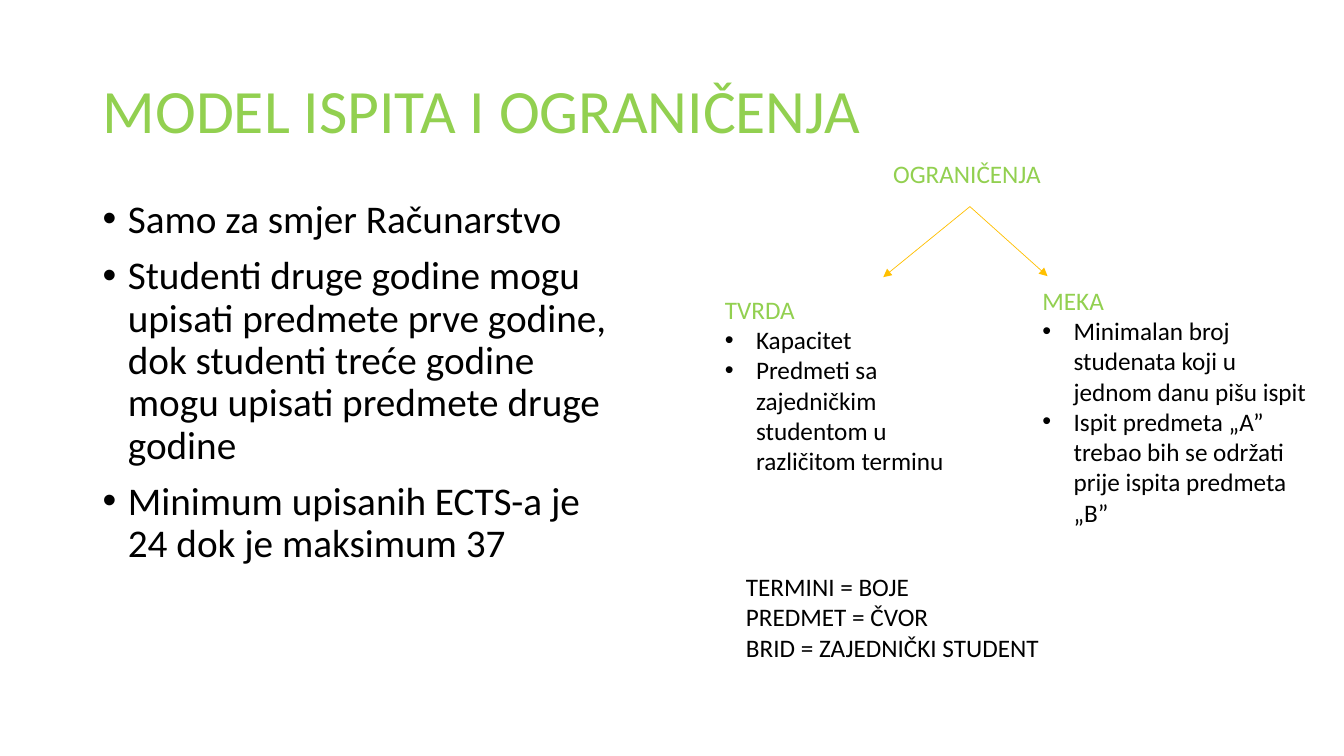
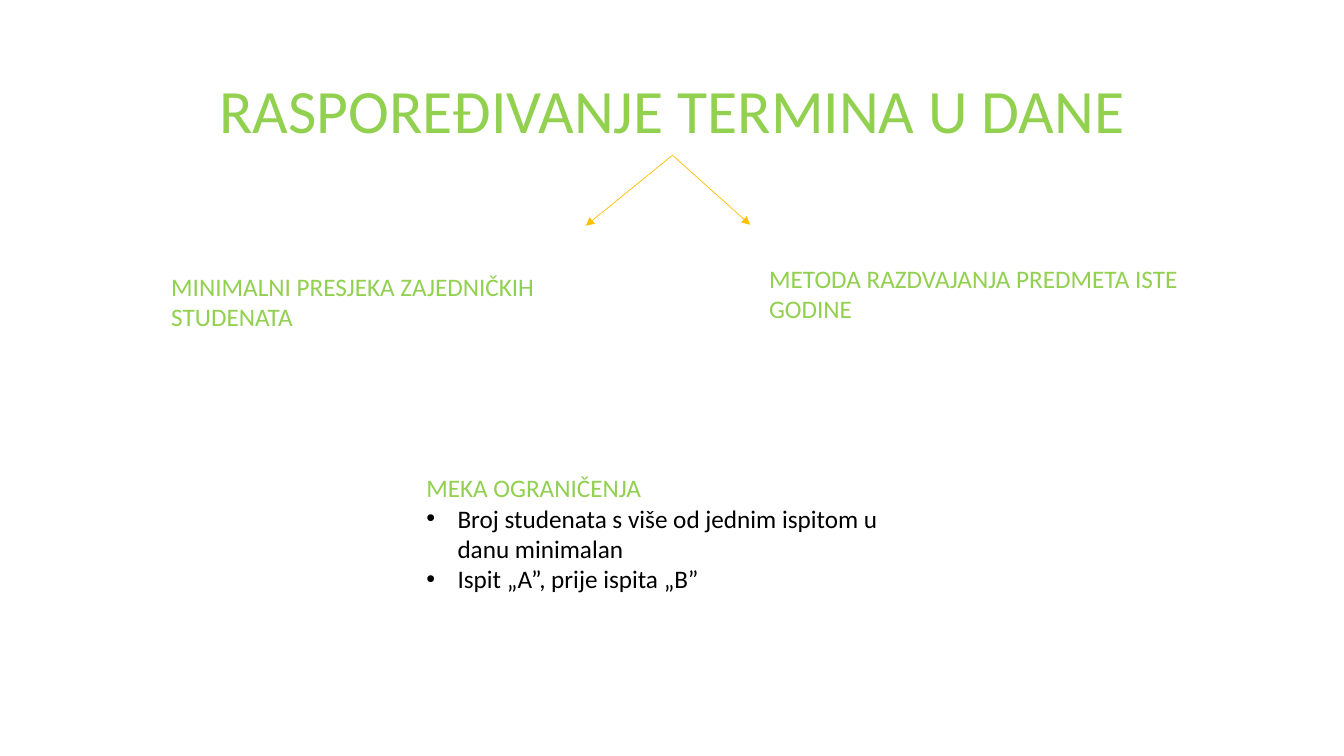
from lxml.etree import SubElement
from pptx import Presentation
from pptx.dml.color import RGBColor
from pptx.enum.shapes import MSO_CONNECTOR as CONN
from pptx.enum.text import MSO_ANCHOR as ANCHOR, PP_ALIGN as ALIGN
from pptx.oxml.ns import qn
from pptx.util import Inches, Pt

FONT = "Calibri"
GREEN, BLACK, AMBER = "92D050", "000000", "FFC000"
TITLE_BOX = (0.92, 0.4, 11.5, 1.45)
BODY_BOX = (0.92, 1.93, 5.32, 4.76)
BRANCHES = ((-0.86, 0.7), (0.77, 0.69))

SLIDES = [
    {
        "title": "MODEL ISPITA I OGRANIČENJA",
        "align": ALIGN.LEFT,
        "body": [
            "Samo za smjer Računarstvo",
            "Studenti druge godine mogu upisati predmete prve godine, "
            "dok studenti treće godine mogu upisati predmete druge godine",
            "Minimum upisanih ECTS-a je 24 dok je maksimum 37",
        ],
        "fork": (9.62, 2.05),
        "groups": [
            ((8.76, 1.52, 2.59, 0.4), "OGRANIČENJA", []),
            ((7.09, 2.87, 2.59, 2.22), "TVRDA", [
                "Kapacitet",
                "Predmeti sa zajedničkim studentom u različitom terminu",
            ]),
            ((10.24, 2.78, 2.87, 2.52), "MEKA", [
                "Minimalan broj studenata koji u jednom danu pišu ispit",
                "Ispit predmeta „A” trebao bih se održati prije ispita predmeta „B”",
            ]),
        ],
        "legend": ((7.3, 5.62, 4.76, 1.01), [
            "TERMINI = BOJE",
            "PREDMET = ČVOR",
            "BRID = ZAJEDNIČKI STUDENT",
        ]),
    },
    {
        "title": "RASPOREĐIVANJE TERMINA U DANE",
        "align": ALIGN.CENTER,
        "fork": (6.67, 1.54),
        "groups": [
            ((1.6, 2.64, 4.2, 0.71), "MINIMALNI PRESJEKA ZAJEDNIČKIH STUDENATA", []),
            ((7.53, 2.56, 4.7, 0.71), "METODA RAZDVAJANJA PREDMETA ISTE GODINE", []),
            ((4.13, 4.64, 5.06, 1.31), "MEKA OGRANIČENJA", [
                "Broj studenata s više od jednim ispitom u danu minimalan",
                "Ispit „A”, prije ispita „B”",
            ]),
        ],
    },
]


def rgb(color):
    return RGBColor.from_string(color)


def add_box(s, box, anchor=ANCHOR.TOP):
    tf = s.shapes.add_textbox(*map(Inches, box)).text_frame
    tf.word_wrap = True
    tf.vertical_anchor = anchor
    return tf


def write(tf, text, size=18, color=BLACK, align=ALIGN.LEFT, indent=0,
          spacing=1.0, before=0):
    p = tf.add_paragraph() if tf.text else tf.paragraphs[0]
    p.alignment = align
    p.line_spacing = spacing
    p.space_before = Pt(before)
    r = p.add_run()
    r.text = text
    r.font.name = FONT
    r.font.size = Pt(size)
    r.font.color.rgb = rgb(color)
    if indent:
        pPr = p._p.get_or_add_pPr()
        pPr.set("marL", str(Inches(indent)))
        pPr.set("indent", str(-Inches(indent)))
        SubElement(pPr, qn("a:buFont"), typeface="Arial")
        SubElement(pPr, qn("a:buChar"), char="•")


def add_arrow(s, start, end):
    c = s.shapes.add_connector(CONN.STRAIGHT, *map(Inches, start + end))
    c.line.color.rgb = rgb(AMBER)
    c.line.width = Pt(0.5)
    SubElement(c.line._get_or_add_ln(), qn("a:tailEnd"), type="triangle")
    SubElement(c._element.spPr, qn("a:effectLst"))


def add_fork(s, start):
    x, y = start
    for dx, dy in BRANCHES:
        add_arrow(s, start, (x + dx, y + dy))


def add_group(s, box, heading, items):
    tf = add_box(s, box)
    write(tf, heading, color=GREEN)
    for item in items:
        write(tf, item, indent=0.31)


def build_slide(prs, content):
    s = prs.slides.add_slide(prs.slide_layouts[6])
    write(add_box(s, TITLE_BOX, ANCHOR.MIDDLE), content["title"], size=44,
          color=GREEN, align=content["align"], spacing=0.9)
    if "body" in content:
        tf = add_box(s, BODY_BOX)
        for item in content["body"]:
            write(tf, item, size=28, indent=0.25, spacing=0.9, before=10)
    for group in content["groups"]:
        add_group(s, *group)
    add_fork(s, content["fork"])
    if "legend" in content:
        box, lines = content["legend"]
        tf = add_box(s, box)
        for line in lines:
            write(tf, line)


def main():
    prs = Presentation()
    prs.slide_width, prs.slide_height = Inches(13.33), Inches(7.5)
    for content in SLIDES:
        build_slide(prs, content)
    prs.save("out.pptx")


if __name__ == "__main__":
    main()
